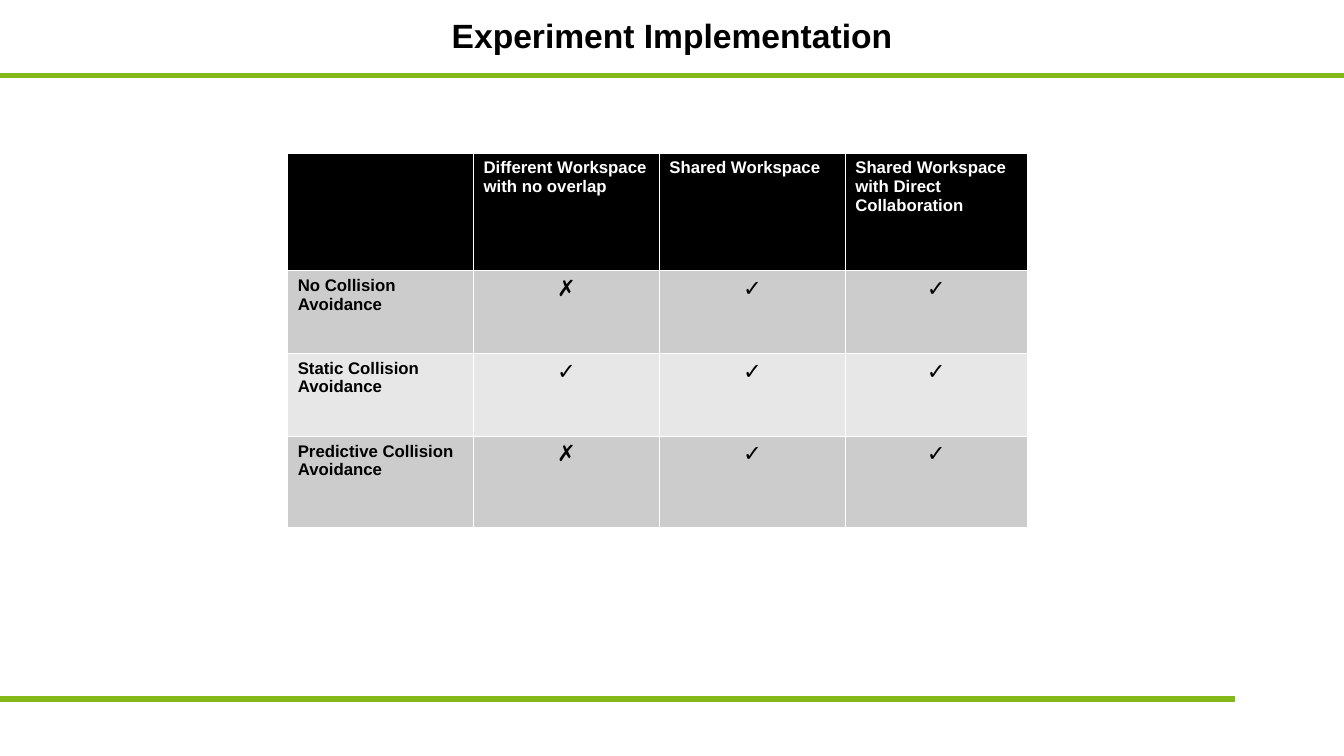
from dataclasses import dataclass

from lxml.etree import SubElement
from pptx import Presentation
from pptx.dml.color import RGBColor
from pptx.enum.shapes import MSO_CONNECTOR
from pptx.enum.text import MSO_ANCHOR, PP_ALIGN
from pptx.oxml import parse_xml
from pptx.oxml.ns import nsdecls, qn
from pptx.util import Pt

# Content
TITLE = "Experiment Implementation"
ROWS = [
    ("", "Different Workspace with no overlap", "Shared Workspace",
     "Shared Workspace with Direct Collaboration"),
    ("No Collision Avoidance", "✗", "✓", "✓"),
    ("Static Collision Avoidance", "✓", "✓", "✓"),
    ("Predictive Collision Avoidance", "✗", "✓", "✓"),
]

# Geometry in points
PAGE_WIDTH, PAGE_HEIGHT = 960, 540
TITLE_HEIGHT = 49.5
RULES = [(54, PAGE_WIDTH), (499.5, 882.5)]  # height on page, right end
TABLE_LEFT, TABLE_TOP = 205.5, 109.5
COLUMN_WIDTHS = [132.75, 132.75, 132.75, 130]
ROW_HEIGHTS = [84, 59.25, 59.25, 65.25]


@dataclass(frozen=True)
class Theme:
    font: str = "Arial"
    accent: str = "84B818"
    dark: str = "000000"
    light: str = "FFFFFF"
    bands: tuple = ("CCCCCC", "E7E7E7")
    title_size: int = 24
    label_size: int = 12
    mark_size: int = 16
    rule_width: int = 4
    border_width: int = 1


THEME = Theme()


def write(frame, text, size, color=THEME.dark, align=PP_ALIGN.LEFT):
    para = frame.paragraphs[0]
    para.alignment = align
    span = para.add_run()
    span.text = text
    span.font.name = THEME.font
    span.font.size = Pt(size)
    span.font.bold = True
    span.font.color.rgb = RGBColor.from_string(color)


def add_rule(page, top, right):
    rule = page.shapes.add_connector(
        MSO_CONNECTOR.STRAIGHT, Pt(0), Pt(top), Pt(right), Pt(top))
    rule.line.color.rgb = RGBColor.from_string(THEME.accent)
    rule.line.width = Pt(THEME.rule_width)
    SubElement(rule._element.spPr, qn("a:effectLst"))


def add_borders(cell):
    properties = cell._tc.get_or_add_tcPr()
    for index, side in enumerate("LRTB"):
        properties.insert(index, parse_xml(
            f'<a:ln{side} {nsdecls("a")} w="{Pt(THEME.border_width)}">'
            f'<a:solidFill><a:srgbClr val="{THEME.light}"/></a:solidFill>'
            f'</a:ln{side}>'))


def add_title(page):
    box = page.shapes.title
    box.left, box.top = Pt(0), Pt(0)
    box.width, box.height = Pt(PAGE_WIDTH), Pt(TITLE_HEIGHT)
    frame = box.text_frame
    frame.margin_left = frame.margin_right = Pt(0)
    frame.margin_top = frame.margin_bottom = Pt(0)
    frame.vertical_anchor = MSO_ANCHOR.MIDDLE
    write(frame, TITLE, THEME.title_size, align=PP_ALIGN.CENTER)


def add_matrix(page):
    table = page.shapes.add_table(
        len(ROWS), len(COLUMN_WIDTHS), Pt(TABLE_LEFT), Pt(TABLE_TOP),
        Pt(sum(COLUMN_WIDTHS)), Pt(sum(ROW_HEIGHTS))).table
    for column, width in zip(table.columns, COLUMN_WIDTHS):
        column.width = Pt(width)
    for row, height in zip(table.rows, ROW_HEIGHTS):
        row.height = Pt(height)

    for r, texts in enumerate(ROWS):
        header = r == 0
        fill = THEME.dark if header else THEME.bands[(r - 1) % 2]
        for c, text in enumerate(texts):
            cell = table.cell(r, c)
            cell.fill.solid()
            cell.fill.fore_color.rgb = RGBColor.from_string(fill)
            add_borders(cell)
            if header and text:
                write(cell.text_frame, text, THEME.label_size, color=THEME.light)
            elif c == 0 and text:
                write(cell.text_frame, text, THEME.label_size)
            elif text:
                write(cell.text_frame, text, THEME.mark_size, align=PP_ALIGN.CENTER)


def main():
    deck = Presentation()
    deck.slide_width, deck.slide_height = Pt(PAGE_WIDTH), Pt(PAGE_HEIGHT)
    page = deck.slides.add_slide(deck.slide_layouts.get_by_name("Title Only"))

    # Green rules, title and experiment matrix
    for top, right in RULES:
        add_rule(page, top, right)
    add_title(page)
    add_matrix(page)
    deck.save("out.pptx")


if __name__ == "__main__":
    main()
